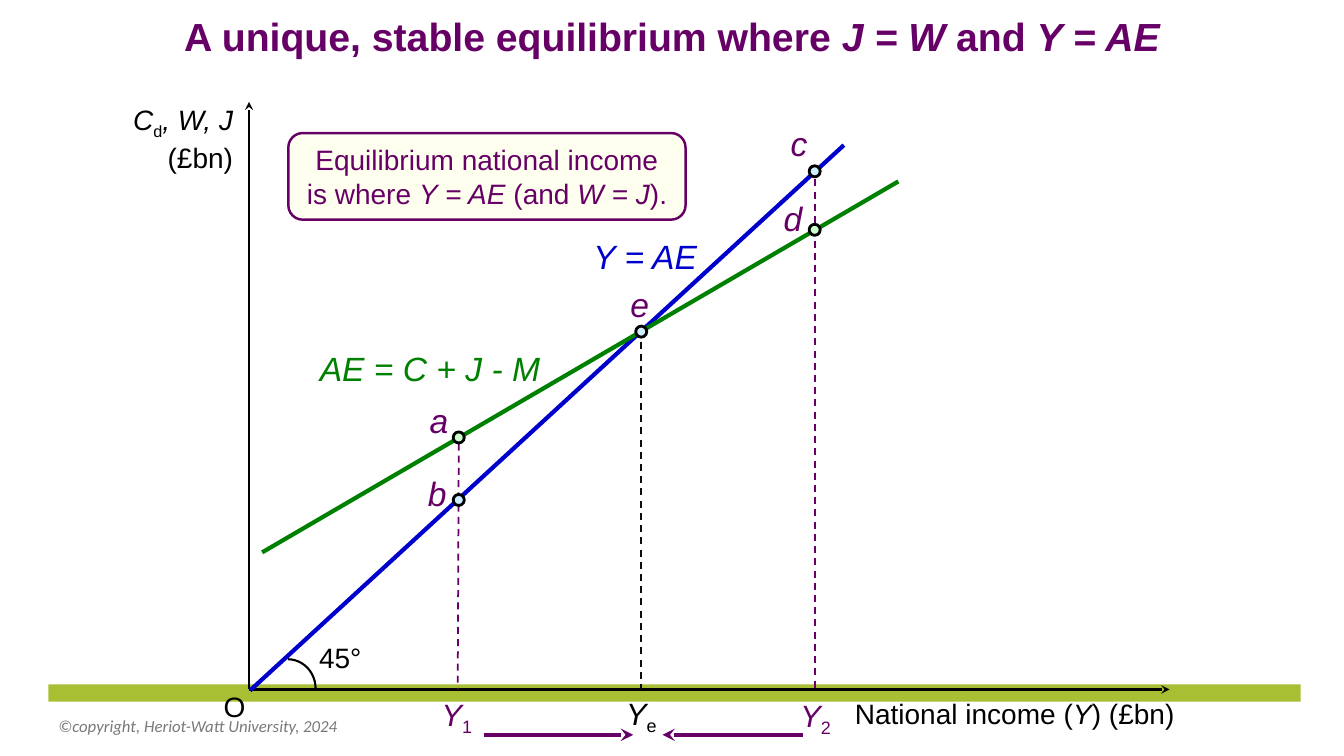
import lxml.etree
import pptx
import pptx.dml.color
import pptx.enum.dml
import pptx.enum.shapes
import pptx.enum.text
import pptx.oxml
import pptx.oxml.ns
import pptx.util

Inches = pptx.util.Inches
Pt = pptx.util.Pt
Shape = pptx.enum.shapes.MSO_SHAPE
Align = pptx.enum.text.PP_ALIGN
Anchor = pptx.enum.text.MSO_ANCHOR
qn = pptx.oxml.ns.qn

BLACK, PURPLE, BLUE, GREEN = "000000", "660066", "0000CC", "008000"
PALE_BLUE, PALE_GREEN = "CCECFF", "CCFFCC"
AXIS_Y = 6.84


def color(value):
    return pptx.dml.color.RGBColor.from_string(value)


class Diagram:
    """Draws styled elements on the current slide."""

    def __init__(self, page, font="Arial"):
        self.page = page
        self.font = font

    def fill_text(self, box, paragraphs, size, ink, align, wrap=True, bold=False, font=None):
        frame = box.text_frame
        frame.word_wrap = wrap
        for index, runs in enumerate(paragraphs):
            para = frame.add_paragraph() if index else frame.paragraphs[0]
            para.alignment = align
            for text, style in runs:
                span = para.add_run()
                span.text = text
                span.font.name = font or self.font
                span.font.size = Pt(size)
                span.font.color.rgb = color(ink)
                span.font.bold = bold
                span.font.italic = style == "italic"
                if style == "sub":
                    span.font._element.set("baseline", "-25000")

    def text(self, place, paragraphs, size, ink=BLACK, align=Align.CENTER, wrap=False,
             bold=False, font=None):
        box = self.page.shapes.add_textbox(*map(Inches, place))
        self.fill_text(box, paragraphs, size, ink, align, wrap, bold, font)
        return box

    def shape(self, kind, place, fill=None, ink=None, width=2):
        shape = self.page.shapes.add_shape(kind, *map(Inches, place))
        shape.shadow.inherit = False
        if fill:
            shape.fill.solid()
            shape.fill.fore_color.rgb = color(fill)
        else:
            shape.fill.background()
        if ink:
            shape.line.color.rgb = color(ink)
            shape.line.width = Pt(width)
        else:
            shape.line.fill.background()
        return shape

    def line(self, start, end, ink=BLACK, width=2.0, arrow=False, dashed=False):
        line = self.page.shapes.add_connector(
            pptx.enum.shapes.MSO_CONNECTOR.STRAIGHT, *map(Inches, start + end))
        line.line.color.rgb = color(ink)
        line.line.width = Pt(width)
        if dashed:
            line.line.dash_style = pptx.enum.dml.MSO_LINE.DASH
        properties = line._element.spPr
        if arrow:
            tail = lxml.etree.SubElement(properties.find(qn("a:ln")), qn("a:tailEnd"))
            tail.set("type", "stealth")
        lxml.etree.SubElement(properties, qn("a:effectLst"))

    def point(self, name, center, label, fill):
        x, y = center
        self.text(label + (0.39, 0.51), [[(name, "italic")]], 24, PURPLE)
        self.shape(Shape.OVAL, (x - 0.055, y - 0.055, 0.11, 0.11), fill, BLACK)

    def shade_text(self, box):
        for para in box.text_frame.paragraphs:
            for span in para.runs:
                effects = pptx.oxml.parse_xml(
                    '<a:effectLst xmlns:a="http://schemas.openxmlformats.org/drawingml/2006/main">'
                    '<a:outerShdw blurRad="38100" dist="38100" dir="2700000">'
                    '<a:srgbClr val="000000"/></a:outerShdw></a:effectLst>')
                span.font._element.find(qn("a:solidFill")).addnext(effects)


def main():
    deck = pptx.Presentation()
    deck.slide_width, deck.slide_height = Inches(13.33), Inches(7.5)
    diagram = Diagram(deck.slides.add_slide(deck.slide_layouts[6]))

    diagram.shape(Shape.RECTANGLE, (0.48, 6.79, 12.42, 0.17), "A8BF33")
    footer = diagram.text((0.48, 7, 4.5, 0.4),
                          [[("©copyright, Heriot-Watt University, 2024", "italic")]],
                          12, "797979", Align.LEFT, True, font="Calibri")
    footer.text_frame.vertical_anchor = Anchor.MIDDLE

    title = diagram.text((0, 0.02, 13.33, 0.62), [[
        ("A unique, stable equilibrium where ", ""), ("J = W ", "italic"),
        ("and ", ""), ("Y = AE", "italic")]], 28, PURPLE, wrap=True, bold=True)
    title.text_frame.margin_top = Inches(0.1)
    diagram.shade_text(title)

    diagram.line((2.47, AXIS_Y), (2.47, 1.01), arrow=True)
    diagram.line((2.47, AXIS_Y), (11.6, AXIS_Y), arrow=True)
    diagram.text((2.12, 6.79, 0.42, 0.44), [[("O", "")]], 20, align=Align.LEFT)
    diagram.text((8.38, 6.86, 3.44, 0.46),
                 [[("National income (", ""), ("Y", "italic"), (") (£bn)", "")]],
                 20, align=Align.LEFT, wrap=True)
    diagram.text((1.09, 0.97, 1.32, 0.77),
                 [[("C", "italic"), ("d", "sub"), (", W, J", "italic")], [("(£bn)", "")]],
                 20, align=Align.RIGHT, wrap=True)

    diagram.line((2.48, 6.85), (8.37, 1.44), BLUE, 3)
    diagram.line((2.6, 5.48), (8.91, 1.8), GREEN, 3)
    diagram.text((5.78, 2.29, 1.24, 0.51), [[("Y = AE", "italic")]], 24, BLUE)
    diagram.text((3.06, 3.4, 2.41, 0.51), [[("AE = C + J - M", "italic")]], 24, GREEN)

    callout = diagram.shape(Shape.ROUNDED_RECTANGLE, (2.86, 1.32, 3.94, 0.86),
                            "FFFFEF", PURPLE, 1.75)
    callout.text_frame.vertical_anchor = Anchor.MIDDLE
    diagram.fill_text(callout, [[
        ("Equilibrium national income is where ", ""), ("Y = AE", "italic"),
        (" (and ", ""), ("W = J", "italic"), (").", "")]], 20, PURPLE, Align.CENTER)

    incomes = (
        ("1", (4.55, 4.4), 4.54, (4.27, 6.85), PURPLE, PURPLE),
        ("e", (6.36, 3.27), 6.36, (6.1, 6.84), "0D0D0D", BLACK),
        ("2", (8.08, 1.78), 8.08, (7.83, 6.86), PURPLE, PURPLE),
    )
    for name, top, foot, label, dash_ink, ink in incomes:
        diagram.line(top, (foot, AXIS_Y), dash_ink, 1.25, dashed=True)
        diagram.text(label + (0.52, 0.47), [[("Y", "italic"), (name, "sub")]], 22, ink)
    for start, end in ((4.8, 6.28), (7.96, 6.57)):
        diagram.line((start, 7.29), (end, 7.29), PURPLE, 3, arrow=True)

    points = (
        ("e", (6.36, 3.29), (6.15, 2.77), PALE_BLUE),
        ("a", (4.55, 4.34), (4.16, 3.92), PALE_GREEN),
        ("b", (4.55, 4.96), (4.14, 4.64), PALE_BLUE),
        ("c", (8.08, 1.7), (7.73, 1.17), PALE_BLUE),
        ("d", (8.08, 2.28), (7.67, 1.91), PALE_GREEN),
    )
    for point in points:
        diagram.point(*point)

    diagram.shape(Shape.ARC, (2.58, 6.54, 0.55, 0.58), ink=BLACK, width=1.5)
    diagram.text((3.06, 6.31, 0.63, 0.44), [[("45°", "")]], 20)

    deck.save("out.pptx")


if __name__ == "__main__":
    main()
